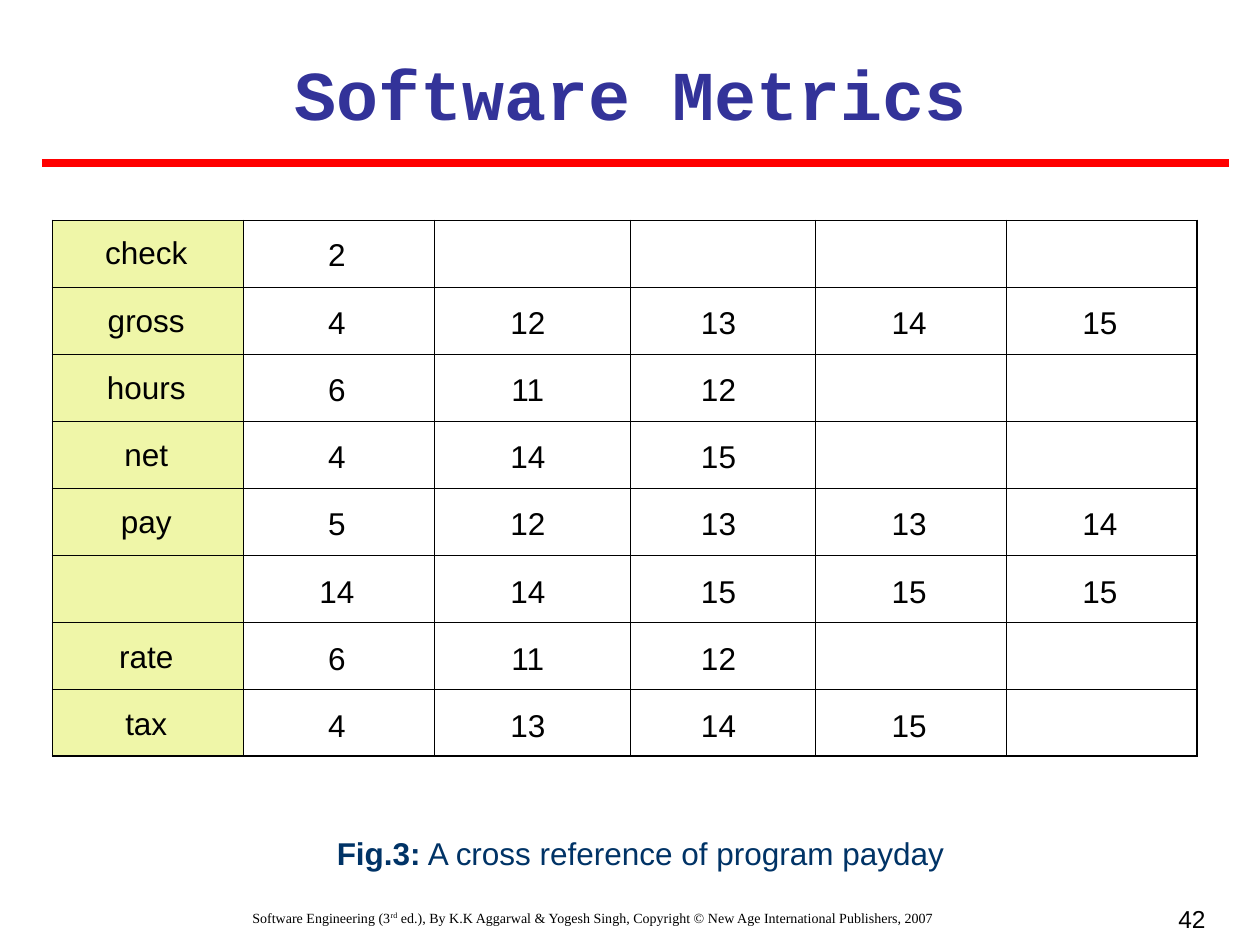
from dataclasses import dataclass

from lxml.etree import SubElement
from pptx import Presentation
from pptx.dml.color import RGBColor
from pptx.enum.shapes import MSO_CONNECTOR
from pptx.enum.text import MSO_ANCHOR, MSO_AUTO_SIZE, PP_ALIGN
from pptx.oxml.ns import qn
from pptx.util import Pt


@dataclass(frozen=True)
class Theme:
    """Colours, fonts and sizes of the slide."""
    title: str = "333399"
    rule: str = "FF0000"
    label: str = "EFF6A8"
    note: str = "003366"
    ink: str = "000000"
    mono: str = "Courier New"
    sans: str = "Arial"
    serif: str = "Times New Roman"
    head: float = 40
    text: float = 18
    page: float = 14
    foot: float = 8
    thick: float = 4.5
    outer: float = 1.08
    inner: float = 0.45


THEME = Theme()
WIDTHS = [109, 109, 112, 106, 109, 109]
ROWS = [
    ["check", "2"],
    ["gross", "4", "12", "13", "14", "15"],
    ["hours", "6", "11", "12"],
    ["net", "4", "14", "15"],
    ["pay", "5", "12", "13", "13", "14"],
    ["", "14", "14", "15", "15", "15"],
    ["rate", "6", "11", "12"],
    ["tax", "4", "13", "14", "15"],
]


def style(font, name, size, color, bold=False):
    """Format one font."""
    font.name, font.size, font.bold = name, Pt(size), bold
    font.color.rgb = RGBColor.from_string(color)


def add_title(slide, text):
    """Fill and place the title."""
    title = slide.shapes.title
    title.left, title.top, title.width, title.height = Pt(24), Pt(25), Pt(672), Pt(56)
    frame = title.text_frame
    frame.text = text
    frame.auto_size = MSO_AUTO_SIZE.NONE
    frame.vertical_anchor = MSO_ANCHOR.TOP
    frame.margin_top = frame.margin_bottom = Pt(4)
    para = frame.paragraphs[0]
    para.alignment = PP_ALIGN.CENTER
    para.space_before = Pt(0)
    style(para.runs[0].font, THEME.mono, THEME.head, THEME.title, True)


def add_rule(slide, left, right, top):
    """Draw the line under the title."""
    rule = slide.shapes.add_connector(
        MSO_CONNECTOR.STRAIGHT, Pt(left), Pt(top), Pt(right), Pt(top))
    rule.line.width = Pt(THEME.thick)
    rule.line.color.rgb = RGBColor.from_string(THEME.rule)
    SubElement(rule._element.spPr, qn("a:effectLst"))


def add_text(slide, box, parts, name, size, color, align=PP_ALIGN.CENTER, tight=False):
    """Add a one-line text box and return its runs."""
    frame = slide.shapes.add_textbox(*map(Pt, box)).text_frame
    frame.word_wrap = True
    if tight:
        frame.margin_left = frame.margin_right = 0
        frame.margin_top = frame.margin_bottom = 0
    para = frame.paragraphs[0]
    para.alignment = align
    for part in parts:
        run = para.add_run()
        run.text = part
        style(run.font, name, size, color)
    return para.runs


def add_edge(cell, side, width):
    """Draw one border of a cell."""
    line = SubElement(cell._tc.get_or_add_tcPr(), qn(f"a:ln{side}"), w=str(Pt(width)))
    fill = SubElement(line, qn("a:solidFill"))
    SubElement(fill, qn("a:srgbClr"), val=THEME.ink)


def fill_cell(cell, edges, label):
    """Set the borders and fill of a cell."""
    for side, outer in edges.items():
        add_edge(cell, side, THEME.outer if outer else THEME.inner)
    if label:
        cell.fill.solid()
        cell.fill.fore_color.rgb = RGBColor.from_string(THEME.label)
    else:
        cell.fill.background()


def add_grid(slide, left, top, height):
    """Add the ruled table."""
    rows, cols = len(ROWS), len(WIDTHS)
    table = slide.shapes.add_table(
        rows, cols, Pt(left), Pt(top), Pt(sum(WIDTHS)), Pt(height * rows)).table
    table.first_row = table.horz_banding = False
    for col, width in zip(table.columns, WIDTHS):
        col.width = Pt(width)
    for i, row in enumerate(table.rows):
        row.height = Pt(height)
        for j, cell in enumerate(row.cells):
            edges = {"L": j == 0, "R": j == cols - 1, "T": i == 0, "B": i == rows - 1}
            fill_cell(cell, edges, j == 0)


def add_values(slide, left, top, across, down):
    """Set the labels and line numbers on the grid."""
    for i, row in enumerate(ROWS):
        for j, text in enumerate(row):
            if text:
                drop = 1.2 if j else 0
                box = (left + across * j, top + down * i + drop, 88, 21.6)
                add_text(slide, box, [text], THEME.sans, THEME.text,
                         THEME.ink, tight=True)


def main():
    """Build and save the slide."""
    deck = Presentation()
    deck.slide_width, deck.slide_height = Pt(720), Pt(540)
    slide = deck.slides.add_slide(deck.slide_layouts[5])
    add_title(slide, "Software Metrics")
    add_rule(slide, 24, 702, 93)
    add_grid(slide, 30, 126, 38.25)
    add_values(slide, 39.6, 133.4, 109, 38.4)
    note = add_text(slide, (90, 476.5, 552, 21.6),
                    ["Fig.3:", " A cross reference of program payday"],
                    THEME.sans, THEME.text, THEME.note, tight=True)
    note[0].font.bold = True
    foot = add_text(slide, (18, 516, 642, 24),
                    ["Software Engineering (3", "rd",
                     " ed.), By K.K Aggarwal & Yogesh Singh, Copyright © "
                     "New Age International Publishers, 2007"],
                    THEME.serif, THEME.foot, THEME.ink)
    foot[1]._r.get_or_add_rPr().set("baseline", "30000")
    add_text(slide, (528, 513, 168, 24), ["42"],
             THEME.sans, THEME.page, THEME.ink, PP_ALIGN.RIGHT)
    deck.save("out.pptx")


if __name__ == "__main__":
    main()
